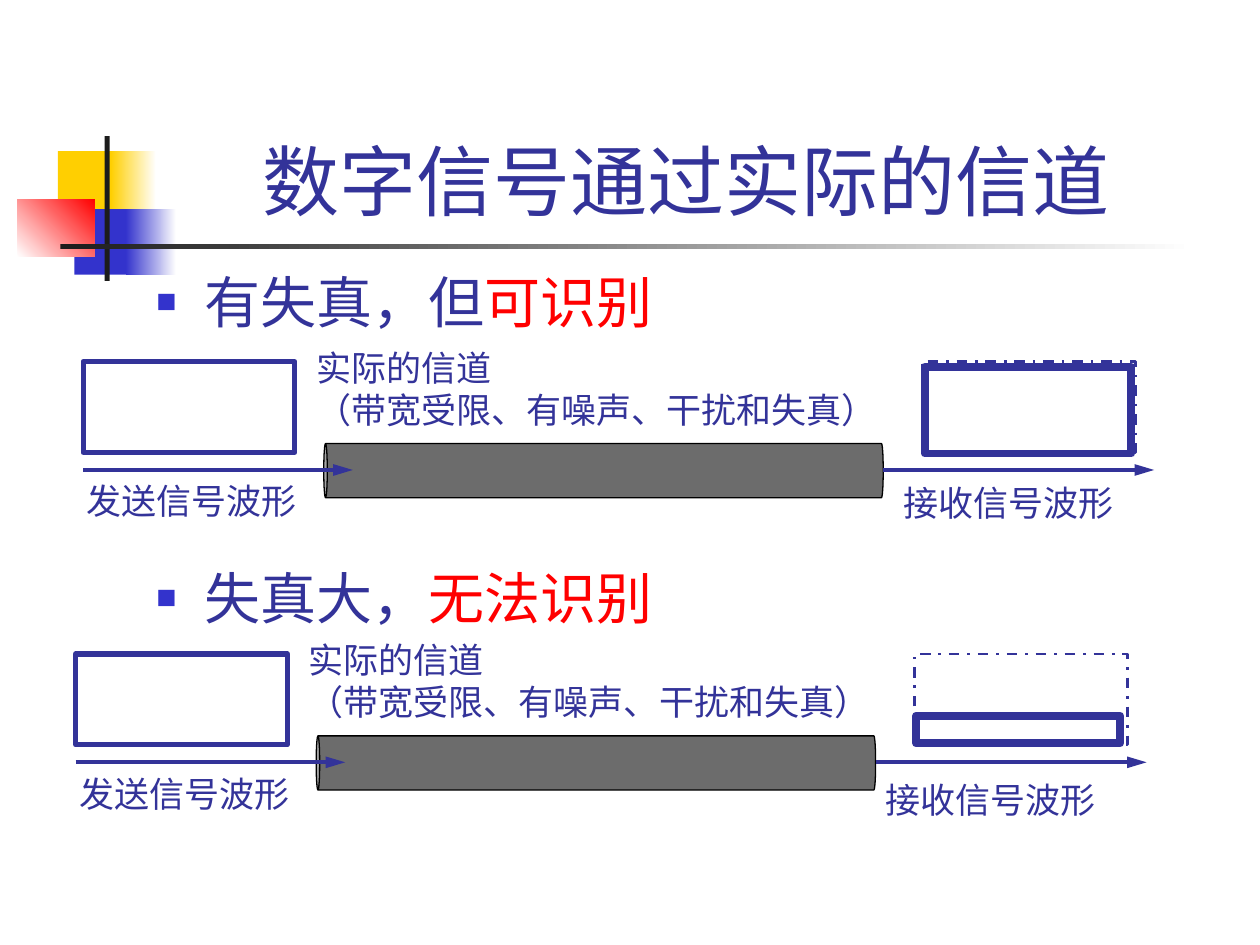
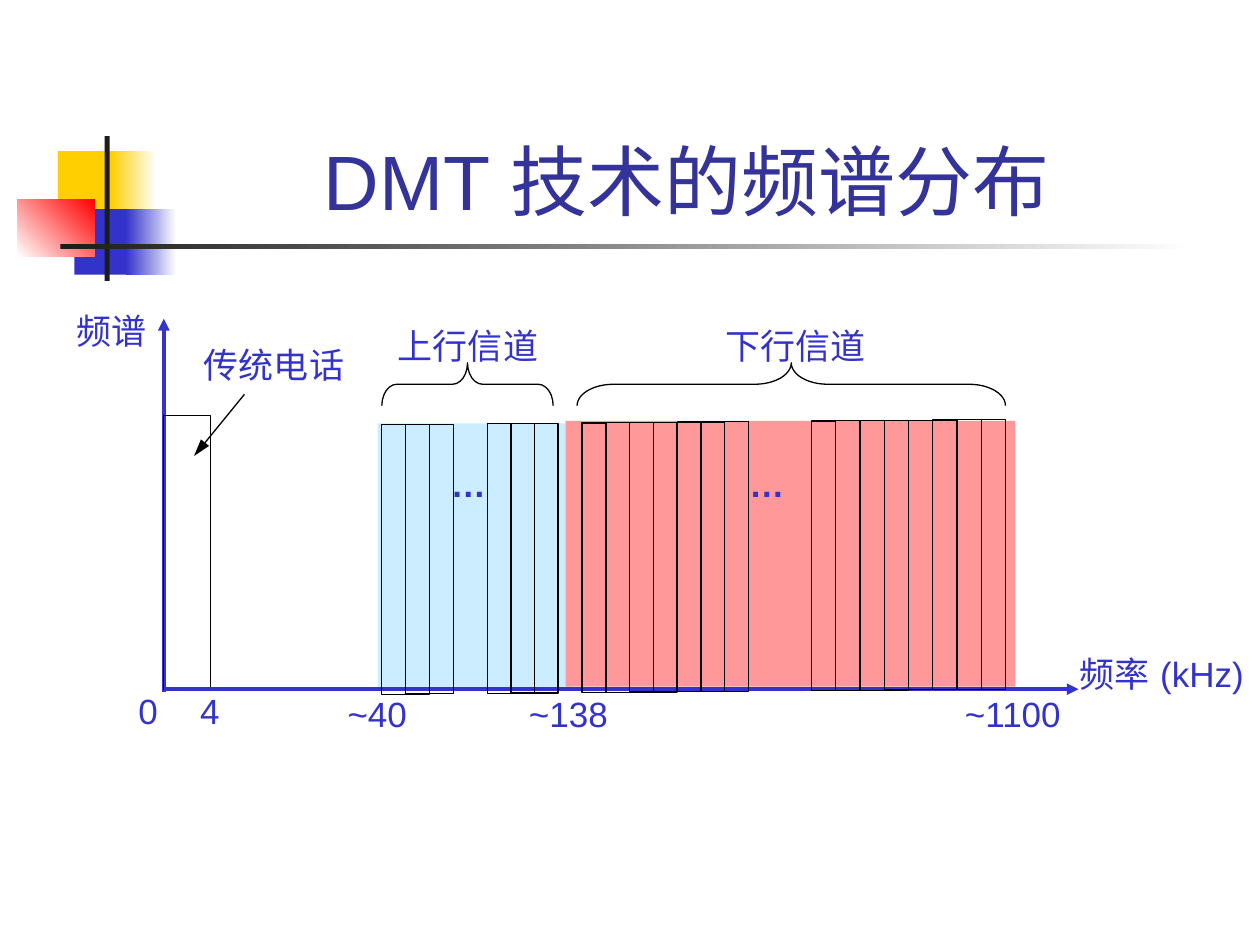
from dataclasses import dataclass
from typing import Any

from lxml import etree
from pptx import Presentation
from pptx.dml.color import RGBColor
from pptx.enum.dml import MSO_LINE
from pptx.enum.shapes import MSO_CONNECTOR, MSO_SHAPE
from pptx.enum.text import MSO_ANCHOR, MSO_AUTO_SIZE, PP_ALIGN
from pptx.oxml.ns import qn
from pptx.util import Pt

PX = 9144  # 100 px to the inch
RECTANGLE = MSO_SHAPE.RECTANGLE
CAN = MSO_SHAPE.CAN
BRACE = MSO_SHAPE.LEFT_BRACE
STRAIGHT = MSO_CONNECTOR.STRAIGHT
DASH_DOT = MSO_LINE.DASH_DOT
NO_AUTOFIT, GROW = MSO_AUTO_SIZE.NONE, MSO_AUTO_SIZE.SHAPE_TO_FIT_TEXT
TOP, BOTTOM = MSO_ANCHOR.TOP, MSO_ANCHOR.BOTTOM
CENTER = PP_ALIGN.CENTER
TITLE_AND_BODY, TITLE_ONLY = 1, 5


@dataclass(frozen=True)
class Theme:
    ink: str = "333399"
    accent: str = "3333CC"
    emphasis: str = "FF0000"
    yellow: str = "FFCF01"
    white: str = "FFFFFF"
    dark: str = "1C1C1C"
    black: str = "000000"
    channel: str = "6C6C6C"
    upstream: str = "CCECFF"
    downstream: str = "FF9999"
    latin: str = "Arial"
    serif: str = "Times New Roman"
    chinese: str = "Noto Sans CJK SC"
    title_size: int = 44
    body_size: int = 32
    label_size: int = 20
    hairline: float = 0.75
    arrow_line: float = 2.25


THEME = Theme()


def emu(*lengths):
    return [round(length * PX) for length in lengths]


def rgb(color):
    return RGBColor.from_string(color)


def style_run(run, size, color, font=THEME.latin, bold=False):
    run.font.size = Pt(size)
    run.font.color.rgb = rgb(color)
    run.font.name = font
    run.font.bold = bold
    east_asian = etree.SubElement(run.font._element, qn("a:ea"))
    east_asian.set("typeface", THEME.chinese)


@dataclass
class Region:
    """Draws on a slide, measuring from the region's top left corner."""
    slide: Any
    left: int = 0
    top: int = 0

    def shape(self, kind, left, top, width, height, fill=None, line=None,
              weight=THEME.hairline, dash=None):
        shape = self.slide.shapes.add_shape(
            kind, *emu(self.left + left, self.top + top, width, height))
        shape.shadow.inherit = False
        if fill:
            shape.fill.solid()
            shape.fill.fore_color.rgb = rgb(fill)
        else:
            shape.fill.background()
        if line:
            shape.line.color.rgb = rgb(line)
            shape.line.width = Pt(weight)
            if dash:
                shape.line.dash_style = dash
        else:
            shape.line.fill.background()
        return shape

    def turned_shape(self, kind, left, top, width, height, rotation, **style):
        """Place a quarter-turned shape by the box it covers after turning."""
        shift = (width - height) / 2
        shape = self.shape(kind, left + shift, top - shift, height, width, **style)
        shape.rotation = rotation
        return shape

    def gradient(self, left, top, width, height, start, end, angle=0):
        shape = self.shape(RECTANGLE, left, top, width, height)
        shape.fill.gradient()
        shape.fill.gradient_angle = angle
        for stop, color in zip(shape.fill.gradient_stops, (start, end)):
            stop.color.rgb = rgb(color)
        return shape

    def arrow(self, start_x, start_y, end_x, end_y, color,
              weight=THEME.arrow_line, head_length="lg"):
        connector = self.slide.shapes.add_connector(
            STRAIGHT, *emu(self.left + start_x, self.top + start_y,
                           self.left + end_x, self.top + end_y))
        connector.line.color.rgb = rgb(color)
        connector.line.width = Pt(weight)
        properties = connector.element.spPr
        head = etree.SubElement(properties.find(qn("a:ln")), qn("a:tailEnd"))
        head.set("type", "triangle")
        head.set("len", head_length)
        etree.SubElement(properties, qn("a:effectLst"))

    def label(self, text, left, top, width, color, height=44,
              font=THEME.latin, bold=False):
        box = self.slide.shapes.add_textbox(
            *emu(self.left + left, self.top + top, width, height))
        frame = box.text_frame
        frame.word_wrap = False
        frame.auto_size = GROW
        frame.text = text
        for paragraph in frame.paragraphs:
            for run in paragraph.runs:
                style_run(run, THEME.label_size, color, font, bold)


def decorate_master(slide):
    """Draw the colour blocks and rules, then move them to the slide master."""
    region = Region(slide)
    parts = [
        region.shape(RECTANGLE, 46, 120, 48, 52, fill=THEME.yellow),
        region.gradient(88, 120, 36, 52, THEME.yellow, THEME.white),
        region.shape(RECTANGLE, 59, 166, 46, 52, fill=THEME.accent),
        region.gradient(100, 166, 40, 52, THEME.accent, THEME.white),
        region.gradient(14, 158, 61, 46, THEME.white, THEME.emphasis, angle=45),
        region.shape(RECTANGLE, 83, 108, 4, 115, fill=THEME.dark),
        region.gradient(48, 194, 900, 4, THEME.dark, THEME.white),
    ]
    master_tree = slide.slide_layout.slide_master.shapes.element
    for number, part in enumerate(parts, start=100):
        part.element.xpath(".//p:cNvPr")[0].set("id", str(number))
        master_tree.append(part.element)


def place(placeholder, left, top, width, height, anchor):
    (placeholder.left, placeholder.top,
     placeholder.width, placeholder.height) = emu(left, top, width, height)
    frame = placeholder.text_frame
    frame.auto_size = NO_AUTOFIT
    frame.word_wrap = True
    frame.vertical_anchor = anchor
    return frame


def add_title(slide, text):
    frame = place(slide.shapes.title, 126, 23, 852, 161, BOTTOM)
    frame.text = text
    paragraph = frame.paragraphs[0]
    paragraph.alignment = CENTER
    style_run(paragraph.runs[0], THEME.title_size, THEME.ink)


def format_bullet(paragraph):
    properties = paragraph._p.get_or_add_pPr()
    properties.set("marL", str(38 * PX))
    properties.set("indent", str(-38 * PX))
    color = etree.SubElement(properties, qn("a:buClr"))
    etree.SubElement(color, qn("a:srgbClr")).set("val", THEME.accent)
    etree.SubElement(properties, qn("a:buSzPct")).set("val", "60000")
    etree.SubElement(properties, qn("a:buChar")).set("char", "■")


def add_findings(slide, findings, gap):
    """Fill the body with bullets, each a plain part and a stressed part."""
    frame = place(slide.placeholders[1], 114, 202, 850, 450, TOP)
    for index, parts in enumerate(findings):
        paragraph = frame.add_paragraph() if index else frame.paragraphs[0]
        format_bullet(paragraph)
        paragraph.line_spacing = 1.1
        paragraph.space_before = Pt(gap if index else 0)
        for text, color in zip(parts, (THEME.ink, THEME.emphasis)):
            run = paragraph.add_run()
            run.text = text
            style_run(run, THEME.body_size, color)


def draw_transmission(region, received_box, received_label):
    """Sent pulse, real channel and received pulse, from left to right."""
    ink = THEME.ink
    channel = region.turned_shape(CAN, 191, 65, 444, 43, 270,
                                  fill=THEME.channel, line=THEME.black)
    channel.adjustments[0] = 0.065
    region.shape(RECTANGLE, 0, 0, 168, 72, line=ink, weight=3)
    region.shape(RECTANGLE, 666, 0, 169, 72, line=ink, weight=1.5, dash=DASH_DOT)
    region.shape(RECTANGLE, *received_box, line=ink, weight=4.5)
    region.arrow(0, 86, 214, 86, ink)
    region.arrow(635, 86, 850, 86, ink)
    region.label("实际的信道\n（带宽受限、有噪声、干扰和失真）", 175, -17, 465,
                 ink, height=77, font=THEME.serif)
    region.label("发送信号波形", -7, 89, 187, ink, font=THEME.chinese)
    region.label("接收信号波形", *received_label, 187, ink, font=THEME.chinese)


def draw_subchannels(region):
    first_left, first_top = 173, 84
    for start, span, count in ((173, 57, 3), (257, 56, 3),
                               (332, 132, 7), (514, 154, 8)):
        width = span / count
        for index in range(count):
            left = start + index * width
            top = first_top - (left - first_left) / 120
            region.shape(RECTANGLE, left, top, width, 214, line=THEME.black)


def draw_spectrum(region):
    black, accent = THEME.black, THEME.accent
    region.shape(RECTANGLE, 170, 83, 153, 211, fill=THEME.upstream)
    region.shape(RECTANGLE, 319, 81, 357, 211, fill=THEME.downstream)
    region.arrow(0, 296, 0, 0, accent, head_length="med")
    region.shape(RECTANGLE, 0, 77, 37, 217, line=black)
    region.arrow(64, 60, 24, 109, black, THEME.hairline)
    region.arrow(0, 294, 726, 294, accent, head_length="med")
    for left, width, curve in ((173, 136, 0.35), (328, 340, 0.85)):
        brace = region.turned_shape(BRACE, left, 35, width, 34, 90, line=black)
        brace.adjustments[0] = curve
    draw_subchannels(region)
    for text, left, top, width in (
            ("频谱", -79, -12, 80), ("频率", 717, 260, 80),
            ("(kHz)", 781, 260, 90), ("传统电话", 22, 15, 136),
            ("上行信道", 176, 0, 136), ("下行信道", 436, 0, 136),
            ("0", -30, 289, 38), ("4", 19, 289, 38), ("~40", 136, 292, 72),
            ("~138", 280, 292, 87), ("~1100", 626, 292, 102)):
        region.label(text, left, top, width, accent)
    for left in (218, 455):
        region.label("…", left, 109, 50, accent, bold=True)


def build_channel_slide(slide):
    add_title(slide, "数字信号通过实际的信道 ")
    add_findings(slide, (("有失真，但", "可识别"), ("失真大，", "无法识别")), gap=127)
    draw_transmission(Region(slide, 66, 287), (668, 4, 164, 69), (641, 90))
    draw_transmission(Region(slide, 60, 519), (667, 49, 162, 22), (633, 94))


def build_spectrum_slide(slide):
    add_title(slide, "DMT 技术的频谱分布 ")
    draw_spectrum(Region(slide, 130, 253))


def main():
    presentation = Presentation()
    presentation.slide_width, presentation.slide_height = emu(1000, 750)
    layouts = presentation.slide_layouts
    channel_slide = presentation.slides.add_slide(layouts[TITLE_AND_BODY])
    decorate_master(channel_slide)
    build_channel_slide(channel_slide)
    build_spectrum_slide(presentation.slides.add_slide(layouts[TITLE_ONLY]))
    presentation.save("out.pptx")


if __name__ == "__main__":
    main()
